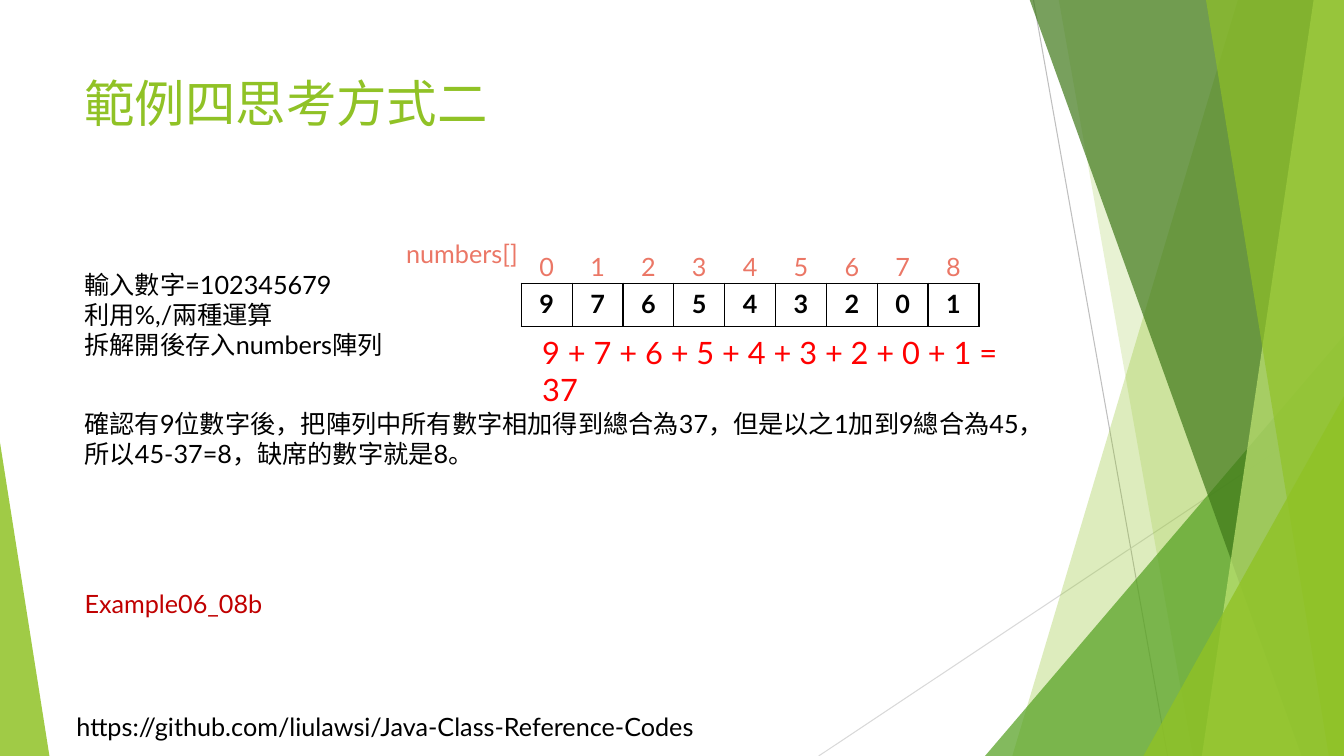
from dataclasses import dataclass

from lxml import etree
from pptx import Presentation
from pptx.dml.color import RGBColor
from pptx.enum.shapes import MSO_CONNECTOR, MSO_SHAPE
from pptx.enum.text import MSO_ANCHOR, PP_ALIGN
from pptx.oxml.ns import qn
from pptx.util import Inches, Pt

FONT = "Lato"
LIME, BLACK, CORAL = "90C226", "000000", "EB7766"
W, H, TOP = 13.33, 7.5, -0.01


@dataclass
class Ray:
    start: tuple[float, float]
    end: tuple[float, float]
    color: str


@dataclass
class Band:
    top_left: float
    bottom_left: float
    color: str
    opacity: int


@dataclass
class Wedge:
    box: tuple[float, float, float, float]
    apex: float
    color: str
    opacity: int


@dataclass
class Note:
    box: tuple[float, float, float, float]
    lines: list[str]
    size: int = 18
    color: str = BLACK


RAYS = [
    Ray((10.25, 0), (11.58, H), "BFBFBF"),
    Ray((W, 4.03), (8.12, H), "D9D9D9"),
]

# Back to front
FACETS = [
    Band(12.28, 10.04, LIME, 30),
    Band(10.5, 11.83, LIME, 20),
    Wedge((9.77, 3.33, 3.56, 4.17), 1, "54A021", 72),
    Band(10.21, 12.91, "3F7819", 70),
    Band(13.03, 11.92, "C0E474", 70),
    Band(11.96, 13.18, LIME, 65),
    Wedge((11.34, 3.93, 1.99, 3.57), 1, LIME, 80),
    Wedge((0, 4.39, 0.49, 3.11), 0, LIME, 85),
]

NOTES = [
    Note((0.66, 7.01, 6.7, 0.4),
         ["https://github.com/liulawsi/Java-Class-Reference-Codes"]),
    Note((0.74, 0.67, 9.4, 1.44), ["範例四思考方式二"], 36, LIME),
    Note((0.74, 2.62, 3.19, 1.01),
         ["輸入數字=102345679", "利用%,/兩種運算", "拆解開後存入numbers陣列"]),
    Note((3.93, 2.32, 1.35, 0.4), ["numbers[]"], color=CORAL),
    Note((0.74, 4, 9.72, 0.71),
         ["確認有9位數字後，把陣列中所有數字相加得到總合為37，但是以之1加到9總合為45，",
          "所以45-37=8，缺席的數字就是8。"]),
    Note((5.28, 3.26, 5.1, 0.47),
         ["9 + 7 + 6 + 5 + 4 + 3 + 2 + 0 + 1 = 37"], 22, "FF0000"),
    Note((0.74, 5.79, 1.97, 0.4), ["Example06_08b"], color="C00000"),
]


def rgb(color: str) -> RGBColor:
    return RGBColor.from_string(color)


def write(p, text: str, *, size: int = 18, color: str = BLACK,
          bold: bool = False, align=PP_ALIGN.LEFT) -> None:
    p.alignment = align
    r = p.add_run()
    r.text = text
    r.font.name = FONT
    r.font.size = Pt(size)
    r.font.bold = bold
    r.font.color.rgb = rgb(color)


def paint(sp, color: str, opacity: int) -> None:
    sp.shadow.inherit = False
    sp.fill.solid()
    sp.fill.fore_color.rgb = rgb(color)
    sp.line.fill.background()
    clr = sp._element.spPr.find(qn("a:solidFill"))[0]
    etree.SubElement(clr, qn("a:alpha"), val=str(opacity * 1000))


def add_ray(s, ray: Ray) -> None:
    ends = [Inches(v) for v in ray.start + ray.end]
    sp = s.shapes.add_connector(MSO_CONNECTOR.STRAIGHT, *ends)
    sp.line.color.rgb = rgb(ray.color)
    sp.line.width = Pt(0.75)
    etree.SubElement(sp._element.spPr, qn("a:effectLst"))


def add_band(s, band: Band) -> None:
    """Fill from a slanted left edge to the right side of the slide."""
    corners = [(W, TOP), (W, H), (band.bottom_left, H)]
    outline = s.shapes.build_freeform(Inches(band.top_left), Inches(TOP))
    outline.add_line_segments([(Inches(x), Inches(y)) for x, y in corners])
    paint(outline.convert_to_shape(), band.color, band.opacity)


def add_wedge(s, wedge: Wedge) -> None:
    sp = s.shapes.add_shape(MSO_SHAPE.ISOSCELES_TRIANGLE,
                            *[Inches(v) for v in wedge.box])
    sp.adjustments[0] = wedge.apex
    paint(sp, wedge.color, wedge.opacity)


def add_note(s, note: Note) -> None:
    tf = s.shapes.add_textbox(*[Inches(v) for v in note.box]).text_frame
    tf.word_wrap = True
    for i, line in enumerate(note.lines):
        p = tf.add_paragraph() if i else tf.paragraphs[0]
        write(p, line, size=note.size, color=note.color)


def add_border(cell) -> None:
    tc_pr = cell._tc.get_or_add_tcPr()
    for i, side in enumerate(("a:lnL", "a:lnR", "a:lnT", "a:lnB")):
        ln = etree.Element(qn(side), w=str(Pt(1)))
        fill = etree.SubElement(ln, qn("a:solidFill"))
        etree.SubElement(fill, qn("a:srgbClr"), val=BLACK)
        tc_pr.insert(i, ln)


def add_digits(s, top: float, digits: str, *, color: str = BLACK,
               bold: bool = False, border: bool = False) -> None:
    table = s.shapes.add_table(1, len(digits), Inches(5.17), Inches(top),
                               Inches(4.54), Inches(0.43)).table
    table.first_row = table.horz_banding = False
    for cell, digit in zip(table.rows[0].cells, digits):
        cell.fill.solid()
        cell.fill.fore_color.rgb = rgb("FFFFFF")
        cell.vertical_anchor = MSO_ANCHOR.TOP
        write(cell.text_frame.paragraphs[0], digit, color=color, bold=bold,
              align=PP_ALIGN.CENTER)
        if border:
            add_border(cell)


def main() -> None:
    prs = Presentation()
    prs.slide_width, prs.slide_height = Inches(W), Inches(H)
    s = prs.slides.add_slide(prs.slide_layouts[6])

    # Background facets
    for ray in RAYS:
        add_ray(s, ray)
    for facet in FACETS:
        if isinstance(facet, Band):
            add_band(s, facet)
        else:
            add_wedge(s, facet)

    # Array: indexes above values
    add_digits(s, 2.45, "012345678", color=CORAL)
    add_digits(s, 2.81, "976543201", bold=True, border=True)

    # Title, explanations and address
    for note in NOTES:
        add_note(s, note)

    prs.save("out.pptx")


if __name__ == "__main__":
    main()
